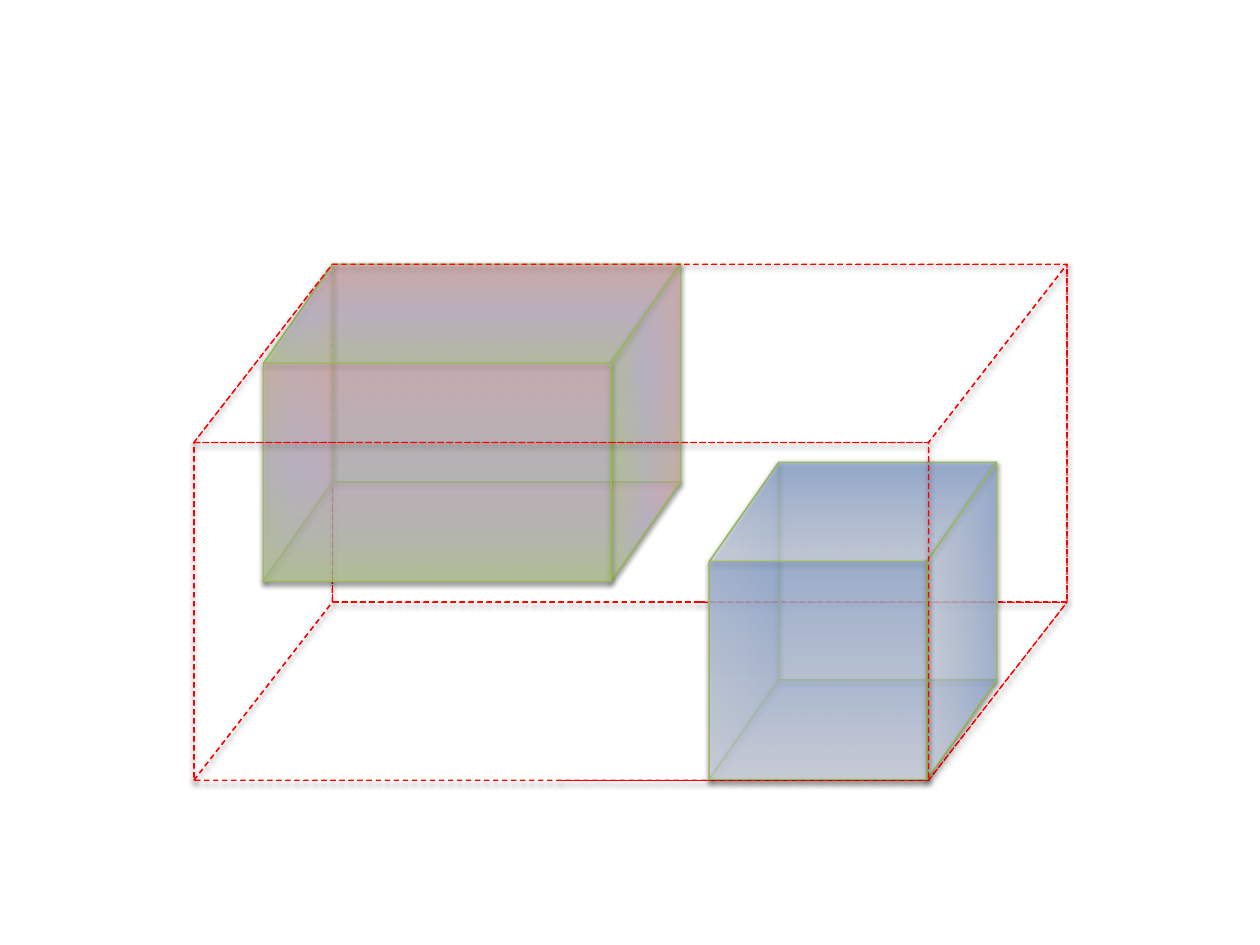
from lxml.etree import SubElement
from pptx import Presentation
from pptx.dml.color import RGBColor
from pptx.enum.dml import MSO_LINE
from pptx.enum.shapes import MSO_SHAPE
from pptx.oxml.ns import qn
from pptx.util import Cm, Pt

COLORS = {
    "frame": "FF0000",
    "edge": "98B955",
    "shadow": "000000",
    "blue": ("9AB5E4", "C2D1ED", "E1E8F5"),
    "pink": ("E6B9B8", "CCC1DA", "C3D69B"),
}

# Boxes in cm: left and top of the whole box, front face size, depth offset
FRAME = dict(left=3.91, top=5.33, width=14.81, height=6.81,
             depth_x=2.79, depth_y=3.59)
BLUE_BOX = dict(left=14.3, top=9.32, width=4.39, height=4.39,
                depth_x=1.4, depth_y=2)
PINK_BOX = dict(left=5.31, top=5.33, width=7.01, height=4.39,
                depth_x=1.4, depth_y=2)

# Faces from back to front
BOX_FACES = ("back", "left", "bottom", "top", "right", "front")
FRAME_BEHIND = ("bottom", "left", "back")
FRAME_BEFORE = ("top", "front", "right")


def add_color(parent, color, alpha):
    element = SubElement(parent, qn("a:srgbClr"), val=color)
    SubElement(element, qn("a:alpha"), val=str(alpha * 1000))


def set_gradient(shape, colors, alpha):
    """Fill with three evenly spaced, see-through stops, running downwards."""
    shape.fill.gradient()
    gradient = shape._element.spPr.find(qn("a:gradFill"))
    stops = gradient.find(qn("a:gsLst"))
    for stop in list(stops):
        stops.remove(stop)
    for index, color in enumerate(colors):
        stop = SubElement(stops, qn("a:gs"), pos=str(index * 50000))
        add_color(stop, color, alpha)
    shape.fill.gradient_angle = 270


def set_shadow(shape):
    shape.shadow.inherit = False
    effects = shape._element.spPr.find(qn("a:effectLst"))
    shadow = SubElement(effects, qn("a:outerShdw"), blurRad="40000",
                        dist="20000", dir="5400000", rotWithShape="0")
    add_color(shadow, COLORS["shadow"], 38)


def add_face(slide, face, left, top, width, height, depth_x, depth_y):
    shapes = slide.shapes
    if face in ("front", "back"):
        x, y = (left, top + depth_y) if face == "front" else (left + depth_x, top)
        return shapes.add_shape(MSO_SHAPE.RECTANGLE,
                                Cm(x), Cm(y), Cm(width), Cm(height))
    if face in ("top", "bottom"):
        y = top if face == "top" else top + height
        shape = shapes.add_shape(MSO_SHAPE.PARALLELOGRAM, Cm(left), Cm(y),
                                 Cm(width + depth_x), Cm(depth_y))
        shape.adjustments[0] = depth_x / depth_y
        return shape
    # Side faces are parallelograms turned a quarter about their centre
    length = height + depth_y
    center_x = left + depth_x / 2 + (width if face == "right" else 0)
    center_y = top + length / 2
    shape = shapes.add_shape(MSO_SHAPE.PARALLELOGRAM,
                             Cm(center_x - length / 2), Cm(center_y - depth_x / 2),
                             Cm(length), Cm(depth_x))
    shape.adjustments[0] = depth_y / depth_x
    shape.rotation = 270
    shape._element.spPr.get_or_add_xfrm().set("flipV", "1")
    return shape


def add_faces(slide, box, faces, line_color, colors=None, alpha=100, dashed=False):
    for face in faces:
        shape = add_face(slide, face, **box)
        if colors:
            set_gradient(shape, colors, alpha)
        else:
            shape.fill.background()
        shape.line.color.rgb = RGBColor.from_string(line_color)
        shape.line.width = Pt(0.75)
        if dashed:
            shape.line.dash_style = MSO_LINE.DASH
        set_shadow(shape)


def main():
    presentation = Presentation()
    presentation.slide_width, presentation.slide_height = Cm(25.4), Cm(19.05)
    slide = presentation.slides.add_slide(presentation.slide_layouts[6])

    # Far half of the frame, the two boxes, near half of the frame
    add_faces(slide, FRAME, FRAME_BEHIND, COLORS["frame"], dashed=True)
    add_faces(slide, BLUE_BOX, BOX_FACES, COLORS["edge"], COLORS["blue"], 53)
    add_faces(slide, PINK_BOX, BOX_FACES, COLORS["edge"], COLORS["pink"], 50)
    add_faces(slide, FRAME, FRAME_BEFORE, COLORS["frame"], dashed=True)

    presentation.save("out.pptx")


if __name__ == "__main__":
    main()
